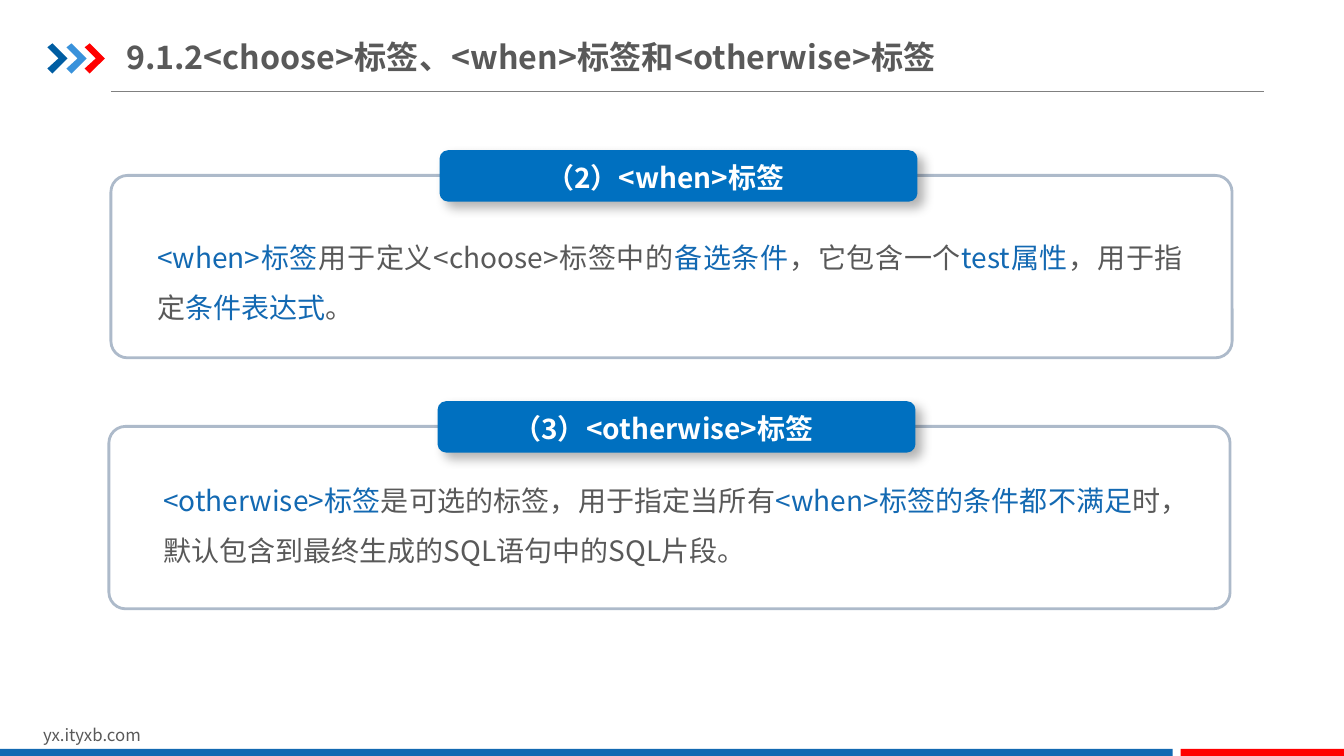
from lxml import etree
from pptx import Presentation
from pptx.dml.color import RGBColor
from pptx.enum import shapes, text
from pptx.oxml import ns
from pptx.util import Inches, Pt

FONT = "Noto Sans CJK SC"
GREY = RGBColor(0x59, 0x59, 0x59)
RULE_GREY = RGBColor(0x80, 0x80, 0x80)
BLUE = RGBColor(0x13, 0x69, 0xB2)
BANNER_BLUE = RGBColor(0x00, 0x70, 0xC0)
DARK_BLUE = RGBColor(0x00, 0x5D, 0xA2)
LIGHT_BLUE = RGBColor(0x39, 0x92, 0xDB)
RED = RGBColor(0xFF, 0x00, 0x00)
FRAME_GREY = RGBColor(0xAD, 0xBA, 0xCA)
WHITE = RGBColor(0xFF, 0xFF, 0xFF)

# Content
TITLE = "9.1.2<choose>标签、<when>标签和<otherwise>标签"
SITE = "yx.ityxb.com"
CARDS = [
    {"corner": (1.1, 1.74), "body_at": (1.46, 2.17), "heading": "（2）<when>标签",
     "body": [("<when>标签", BLUE), ("用于定义<choose>标签中的", GREY),
              ("备选条件", BLUE), ("，它包含一个", GREY), ("test属性", BLUE),
              ("，用于指定", GREY), ("条件表达式", BLUE), ("。", GREY)]},
    {"corner": (1.08, 4.23), "body_at": (1.52, 4.58), "heading": "（3）<otherwise>标签",
     "body": [("<otherwise>标签", BLUE), ("是可选的标签，用于指定当所有", GREY),
              ("<when>标签的条件都不满足", BLUE),
              ("时，默认包含到最终生成的SQL语句中的SQL片段。", GREY)]},
]
CHEVRONS = [(0.47, DARK_BLUE), (0.66, LIGHT_BLUE), (0.84, RED)]
CHEVRON_OUTLINE = [(0, 0.04), (0.05, 0), (0.2, 0.15), (0.05, 0.3), (0, 0.25), (0.11, 0.15)]
FOOTER_BARS = [(0, 11.63, BLUE), (11.71, 1.63, RED)]

prs = Presentation()
prs.slide_width, prs.slide_height = Inches(13.33), Inches(7.5)
slide = prs.slides.add_slide(prs.slide_layouts[5])


def add_run(paragraph, wording, size, color, bold=False):
    run = paragraph.add_run()
    run.text = wording
    font = run.font
    font.name, font.size, font.bold = FONT, Pt(size), bold
    font.color.rgb = color
    east_asian = etree.Element(ns.qn("a:ea"), typeface=FONT)
    font._element.find(ns.qn("a:latin")).addnext(east_asian)


def add_label(left, top, width, height, runs, size, bold=False, align=None, spacing=None):
    frame = slide.shapes.add_textbox(
        Inches(left), Inches(top), Inches(width), Inches(height)).text_frame
    frame.word_wrap = True
    paragraph = frame.paragraphs[0]
    paragraph.alignment, paragraph.line_spacing = align, spacing
    for wording, color in runs:
        add_run(paragraph, wording, size, color, bold)


def paint(shape, fill=None, line=None):
    shape.shadow.inherit = False
    if fill is None:
        shape.fill.background()
    else:
        shape.fill.solid()
        shape.fill.fore_color.rgb = fill
    if line is None:
        shape.line.fill.background()
    else:
        shape.line.color.rgb = line
        shape.line.width = Pt(2)


def add_box(kind, left, top, width, height, fill=None, line=None):
    box = slide.shapes.add_shape(
        kind, Inches(left), Inches(top), Inches(width), Inches(height))
    paint(box, fill, line)
    return box


def add_drop_shadow(shape):
    effects = shape._element.spPr.find(ns.qn("a:effectLst"))
    shadow = etree.SubElement(effects, ns.qn("a:outerShdw"), blurRad=str(Pt(8)),
                              dist=str(Pt(6)), dir=str(45 * 60000),
                              algn="tl", rotWithShape="0")
    black = etree.SubElement(shadow, ns.qn("a:srgbClr"), val="000000")
    etree.SubElement(black, ns.qn("a:alpha"), val="30000")


# Header: rule, chevrons and title
rule = slide.shapes.add_connector(shapes.MSO_CONNECTOR.STRAIGHT,
                                  Inches(1.1), Inches(0.91), Inches(12.54), Inches(0.91))
rule.line.color.rgb = RULE_GREY
rule.line.width = Pt(0.75)
etree.SubElement(rule._element.spPr, ns.qn("a:effectLst"))

for left, color in CHEVRONS:
    points = [(Inches(left + x), Inches(0.43 + y)) for x, y in CHEVRON_OUTLINE]
    builder = slide.shapes.build_freeform(*points[0])
    builder.add_line_segments(points[1:], close=True)
    paint(builder.convert_to_shape(), color)

title = slide.shapes.title
title.left, title.top = Inches(1.25), Inches(0.29)
title.width, title.height = Inches(8.81), Inches(0.55)
title_frame = title.text_frame
title_frame.word_wrap = True
title_frame.auto_size = text.MSO_AUTO_SIZE.NONE
title_frame.vertical_anchor = text.MSO_ANCHOR.MIDDLE
title_frame.margin_left = title_frame.margin_right = 0
title_frame.margin_top = title_frame.margin_bottom = Inches(0.07)
title_frame.paragraphs[0].alignment = text.PP_ALIGN.LEFT
add_run(title_frame.paragraphs[0], TITLE, 23, GREY, bold=True)

# Footer: site address and colour bars
add_label(0.33, 7.14, 3.18, 0.3, [(SITE, GREY)], 12)
for left, width, color in FOOTER_BARS:
    add_box(shapes.MSO_SHAPE.RECTANGLE, left, 7.43, width, 0.09, color)

# Cards: frame, body text, then the banner over the top edge
ROUNDED = shapes.MSO_SHAPE.ROUNDED_RECTANGLE
for card in CARDS:
    left, top = card["corner"]
    frame = add_box(ROUNDED, left, top, 11.12, 1.81, line=FRAME_GREY)
    frame.adjustments[0] = 0.091
    add_label(*card["body_at"], 10.37, 1.38, card["body"], 20,
              align=text.PP_ALIGN.JUSTIFY, spacing=1.5)
    banner_left, banner_top = left + 3.26, top - 0.25
    add_drop_shadow(add_box(ROUNDED, banner_left, banner_top, 4.74, 0.51, BANNER_BLUE))
    add_label(banner_left, banner_top + 0.05, 4.48, 0.44, [(card["heading"], WHITE)], 20,
              bold=True, align=text.PP_ALIGN.CENTER)

prs.save("out.pptx")
